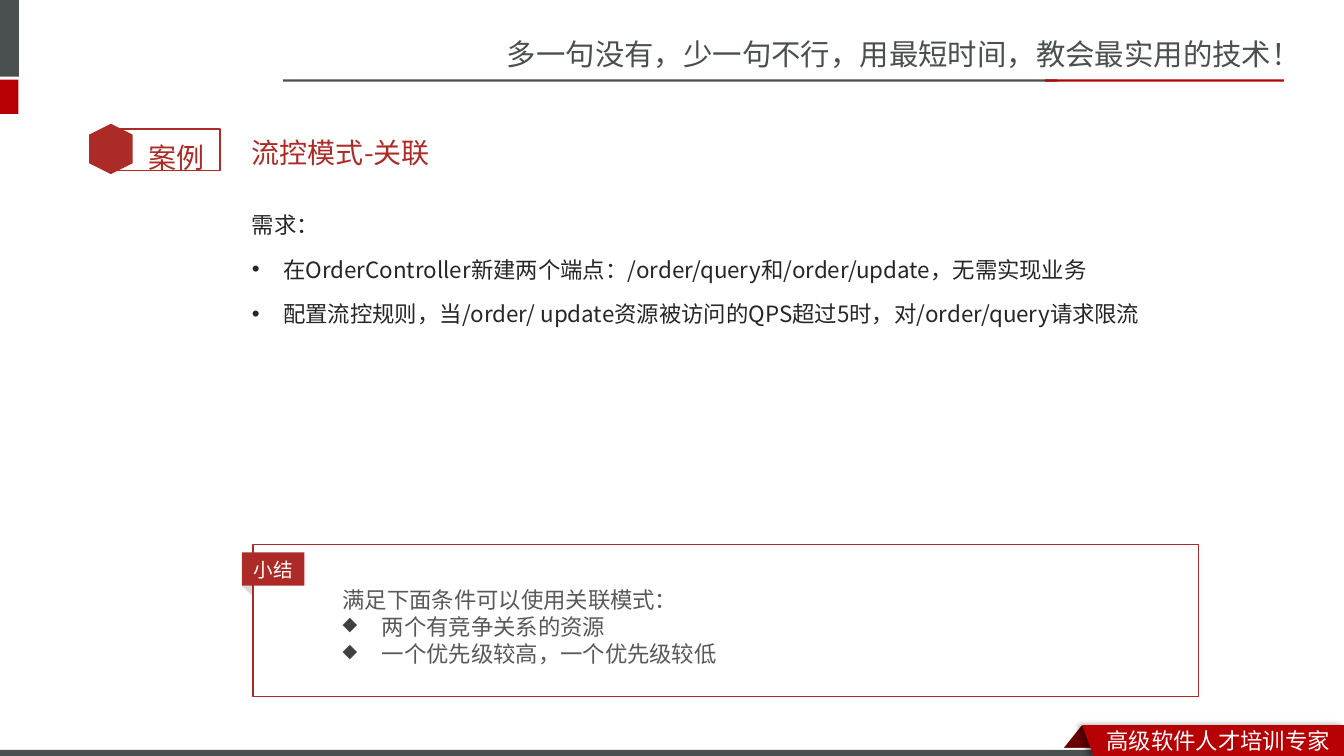
import pptx
import pptx.util
import pptx.dml.color
import pptx.enum.shapes
import pptx.enum.text
import pptx.oxml
import pptx.oxml.ns

Pt = pptx.util.Pt
RGBColor = pptx.dml.color.RGBColor
SHAPE = pptx.enum.shapes.MSO_SHAPE
ANCHOR = pptx.enum.text.MSO_ANCHOR
ALIGN = pptx.enum.text.PP_ALIGN

# Colours and fonts
WHITE = RGBColor(0xFF, 0xFF, 0xFF)
SLATE = RGBColor(0x49, 0x50, 0x4F)
RED = RGBColor(0xB6, 0x00, 0x04)
DARK_RED = RGBColor(0x68, 0x00, 0x00)
BRICK = RGBColor(0xAD, 0x2B, 0x26)
INK = RGBColor(0x26, 0x26, 0x26)
GREY = RGBColor(0x59, 0x59, 0x59)
LIGHT_GREY = RGBColor(0xD9, 0xD9, 0xD9)
CJK = "Noto Sans CJK SC"
LATIN = "Roboto"

# Wording
SLOGAN = ["多一句没有，少一句不行，用最短时间，教会最实用的技术！"]
FOOTER = ["高级软件人才培训专家"]
CASE_LABEL = ["案例"]
TITLE = ["流控模式-关联"]
REQUIREMENTS = [
    "需求：",
    "在OrderController新建两个端点：/order/query和/order/update，无需实现业务",
    "配置流控规则，当/order/ update资源被访问的QPS超过5时，对/order/query请求限流",
]
SUMMARY_LABEL = ["小结"]
SUMMARY = [
    "满足下面条件可以使用关联模式：",
    "两个有竞争关系的资源",
    "一个优先级较高，一个优先级较低",
]

# Text formats: line is the line pitch, bullets start at the second paragraph
SLOGAN_FORMAT = dict(size=21, color=SLATE, line=27)
FOOTER_FORMAT = dict(size=16, color=WHITE, line=20.2)
CASE_FORMAT = dict(size=20, color=BRICK, line=37, font=LATIN)
TITLE_FORMAT = dict(size=20, color=BRICK, line=27, anchor=ANCHOR.MIDDLE)
BODY_FORMAT = dict(size=16, color=INK, line=28.8, before=3.2, indent=22.5,
                   bullet='<a:buFont {} typeface="Arial"/><a:buChar {} char="•"/>')
LABEL_FORMAT = dict(size=14, color=WHITE, line=18, anchor=ANCHOR.MIDDLE, align=ALIGN.CENTER)
SUMMARY_FORMAT = dict(
    size=16, color=GREY, line=19.3, indent=28.1, anchor=ANCHOR.MIDDLE,
    bullet='<a:buClr {}><a:srgbClr val="404040"/></a:buClr>'
           '<a:buSzPct {} val="85000"/><a:buChar {} char="◆"/>')

# Frame shapes: kind, (left, top, width, height), fill
FRAME = [
    (SHAPE.RECTANGLE, (0, 0, 13.5, 54.7), SLATE),
    (SHAPE.RECTANGLE, (0, 56.9, 13.2, 24.4), RED),
    (SHAPE.RECTANGLE, (202.3, 56.7, 553, 1.7), SLATE),
    (SHAPE.RECTANGLE, (746.6, 56.7, 170.6, 1.7), RED),
    (SHAPE.RECTANGLE, (0, 535.7, 791.3, 4.3), SLATE),
]
RIBBON = [(772.6, 518.4), (960, 518.4), (960, 540), (781.2, 540)]

presentation = pptx.Presentation()
presentation.slide_width, presentation.slide_height = Pt(960), Pt(540)
slide = presentation.slides.add_slide(presentation.slide_layouts[6])


def paint(shape, fill=None, line=None, width=1.0):
    shape.shadow.inherit = False
    for part, color in ((shape.fill, fill), (shape.line.fill, line)):
        if color is None:
            part.background()
        else:
            part.solid()
            part.fore_color.rgb = color
    if line is not None:
        shape.line.width = Pt(width)
    return shape


def add_shape(kind, box, fill=None, line=None, width=1.0):
    shape = slide.shapes.add_shape(kind, *[Pt(value) for value in box])
    return paint(shape, fill, line, width)


def add_bullet(paragraph, bullet, indent):
    properties = paragraph._p.get_or_add_pPr()
    for name, value in {"marL": Pt(indent), "indent": -Pt(indent)}.items():
        properties.set(name, str(value))
    namespace = pptx.oxml.ns.nsdecls("a")
    for element in bullet.replace("{}", namespace).replace("><a:bu", ">\n<a:bu").split("\n"):
        properties.append(pptx.oxml.parse_xml(element))


def write(shape, lines, size, color, line, font=CJK, before=0, indent=0,
          bullet=None, anchor=ANCHOR.TOP, align=ALIGN.LEFT):
    frame = shape.text_frame
    frame.word_wrap = True
    frame.vertical_anchor = anchor
    for index, text in enumerate(lines):
        paragraph = frame.paragraphs[0] if index == 0 else frame.add_paragraph()
        layout = {"alignment": align, "line_spacing": Pt(line), "space_before": Pt(before)}
        for name, value in layout.items():
            setattr(paragraph, name, value)
        if bullet and index:
            add_bullet(paragraph, bullet, indent)
        run = paragraph.add_run()
        run.text = text
        for name, value in {"size": Pt(size), "name": font}.items():
            setattr(run.font, name, value)
        run.font.color.rgb = color
        east_asian = pptx.oxml.parse_xml(
            f'<a:ea {pptx.oxml.ns.nsdecls("a")} typeface="{CJK}"/>')
        run._r.get_or_add_rPr().append(east_asian)


def add_text(box, lines, text_format):
    write(slide.shapes.add_textbox(*[Pt(value) for value in box]), lines, **text_format)


# Header and footer frame
fold = add_shape(SHAPE.PARALLELOGRAM, (755.3, 518.4, 121, 21.6), DARK_RED)
fold.adjustments[0] = 0.8
add_shape(SHAPE.RECTANGLE, (0, 534.2, 960, 5.8), WHITE)
add_text((355, 20.2, 605, 33.8), SLOGAN, SLOGAN_FORMAT)
for kind, box, fill in FRAME:
    add_shape(kind, box, fill)

# Footer ribbon with a soft shadow to its left
builder = slide.shapes.build_freeform(*RIBBON[0], scale=Pt(1))
builder.add_line_segments(RIBBON[1:], close=True)
ribbon = paint(builder.convert_to_shape(), RED)
effects = ribbon._element.spPr.find(pptx.oxml.ns.qn("a:effectLst"))
effects.append(pptx.oxml.parse_xml(
    f'<a:outerShdw {pptx.oxml.ns.nsdecls("a")} blurRad="{Pt(4)}" dist="{Pt(3)}" dir="10800000">'
    '<a:srgbClr val="000000"><a:alpha val="40000"/></a:srgbClr></a:outerShdw>'))
add_text((783.4, 514.8, 176.6, 26.6), FOOTER, FOOTER_FORMAT)

# Case badge
add_shape(SHAPE.RECTANGLE, (78.8, 92.2, 78.5, 29.8), line=BRICK)
add_shape(SHAPE.HEXAGON, (61.2, 90.9, 36, 31), BRICK).rotation = 90
add_text((99.2, 83.5, 61.2, 40.3), CASE_LABEL, CASE_FORMAT)

# Title and requirements
add_text((172.8, 87.1, 725.8, 41), TITLE, TITLE_FORMAT)
add_text((172.8, 137.5, 725.8, 295.9), REQUIREMENTS, BODY_FORMAT)

# Summary panel
add_shape(SHAPE.ISOSCELES_TRIANGLE, (173.5, 416.9, 11.5, 6.5), LIGHT_GREY).rotation = 44.2
add_shape(SHAPE.RECTANGLE, (180.7, 388.8, 675.4, 108.7), line=BRICK, width=0.75)
label = add_shape(SHAPE.RECTANGLE, (172.8, 394.6, 44.6, 23.8), BRICK)
for side in ("margin_left", "margin_right"):
    setattr(label.text_frame, side, Pt(0))
write(label, SUMMARY_LABEL, **LABEL_FORMAT)
panel = add_shape(SHAPE.RECTANGLE, (237.6, 412.6, 563, 69.1), WHITE)
write(panel, SUMMARY, **SUMMARY_FORMAT)

presentation.save("out.pptx")
